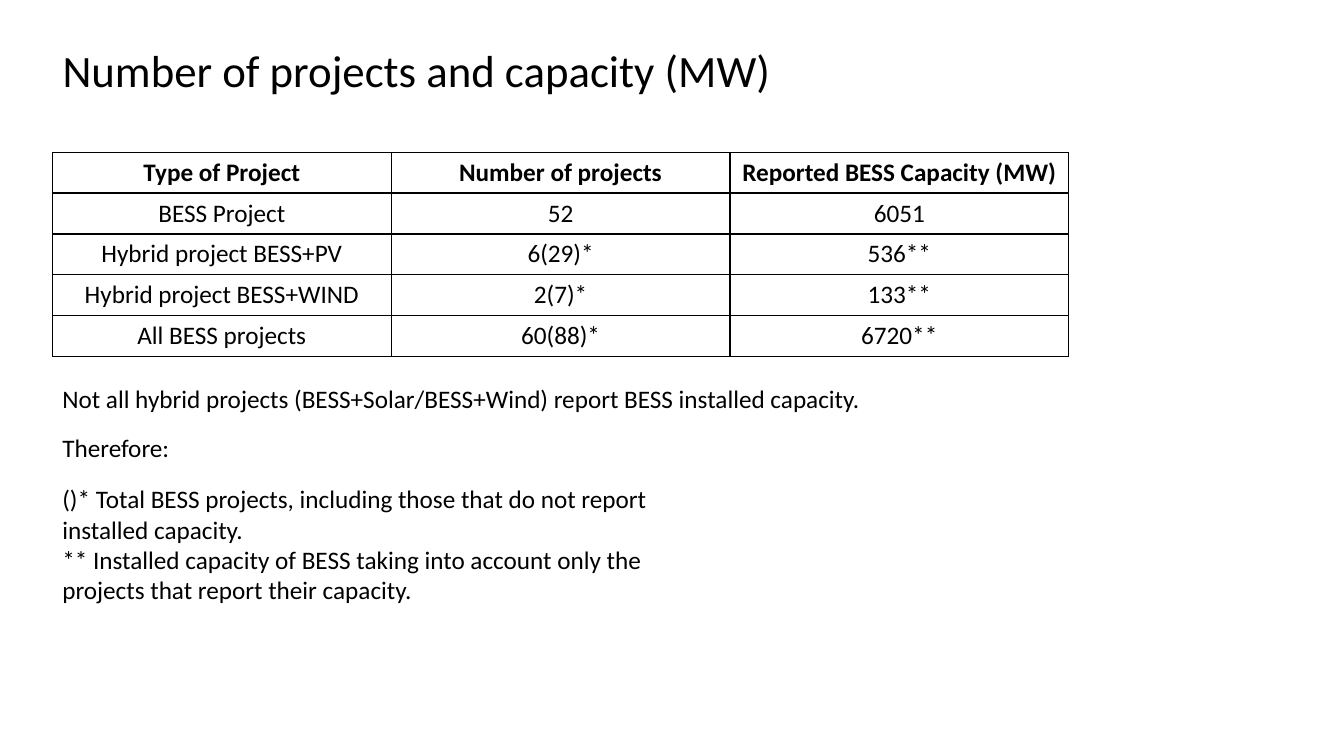
from lxml import etree
from pptx import Presentation
from pptx import util as u
from pptx.dml.color import RGBColor
from pptx.enum import text
from pptx.oxml import ns

FONT = "Calibri"
BLACK = "000000"
LEFT = 0.52
TITLE = "Number of projects and capacity (MW)"
PROJECTS = [
    ("Type of Project", "Number of projects", "Reported BESS Capacity (MW)"),
    ("BESS Project", "52", "6051"),
    ("Hybrid project BESS+PV", "6(29)*", "536**"),
    ("Hybrid project BESS+WIND", "2(7)*", "133**"),
    ("All BESS projects", "60(88)*", "6720**"),
]
NOTES = [
    (3.75, 9.9, 0.4,
     "Not all hybrid projects (BESS+Solar/BESS+Wind) report BESS installed capacity."),
    (4.24, 6.67, 0.4, "Therefore:"),
    (4.75, 6.67, 1.31,
     "()* Total BESS projects, including those that do not report installed capacity.\n"
     "** Installed capacity of BESS taking into account only the projects that report their capacity."),
]


def color(value):
    return RGBColor.from_string(value)


def format_text(frame, size, align, bold=False):
    for paragraph in frame.paragraphs:
        paragraph.alignment = align
        for run in paragraph.runs:
            run.font.name = FONT
            run.font.size = u.Pt(size)
            run.font.bold = bold
            run.font.color.rgb = color(BLACK)


def add_title(slide):
    title = slide.shapes.title
    title.left, title.top = u.Inches(LEFT), u.Inches(0.4)
    title.width, title.height = u.Inches(9.48), u.Inches(0.65)
    frame = title.text_frame
    frame.text = TITLE
    frame.auto_size = text.MSO_AUTO_SIZE.NONE
    frame.vertical_anchor = text.MSO_ANCHOR.MIDDLE
    frame.paragraphs[0].line_spacing = 0.9
    format_text(frame, 32, text.PP_ALIGN.LEFT)


def border_cell(cell):
    properties = cell._tc.get_or_add_tcPr()
    for position, side in enumerate(("a:lnL", "a:lnR", "a:lnT", "a:lnB")):
        line = etree.Element(ns.qn(side), w=str(u.Pt(1)))
        fill = etree.SubElement(line, ns.qn("a:solidFill"))
        etree.SubElement(fill, ns.qn("a:srgbClr"), val=BLACK)
        properties.insert(position, line)


def add_projects_table(slide):
    row_count, column_count = len(PROJECTS), len(PROJECTS[0])
    table = slide.shapes.add_table(
        row_count, column_count, u.Inches(LEFT), u.Inches(1.51),
        u.Inches(3.36 * column_count), u.Inches(0.4 * row_count)).table
    table.horz_banding = False
    for row, project in enumerate(PROJECTS):
        for column, entry in enumerate(project):
            cell = table.cell(row, column)
            cell.text = entry
            cell.fill.background()
            format_text(cell.text_frame, 18, text.PP_ALIGN.CENTER, bold=row == 0)
            border_cell(cell)


def add_note(slide, top, width, height, wording):
    note = slide.shapes.add_textbox(
        u.Inches(LEFT), u.Inches(top), u.Inches(width), u.Inches(height))
    frame = note.text_frame
    frame.word_wrap = True
    frame.auto_size = text.MSO_AUTO_SIZE.SHAPE_TO_FIT_TEXT
    frame.text = wording
    format_text(frame, 18, text.PP_ALIGN.LEFT)


def main():
    deck = Presentation()
    deck.slide_width, deck.slide_height = u.Inches(13.33), u.Inches(7.5)
    slide = deck.slides.add_slide(deck.slide_layouts[5])
    add_title(slide)
    add_projects_table(slide)
    for note in NOTES:
        add_note(slide, *note)
    deck.save("out.pptx")


if __name__ == "__main__":
    main()
